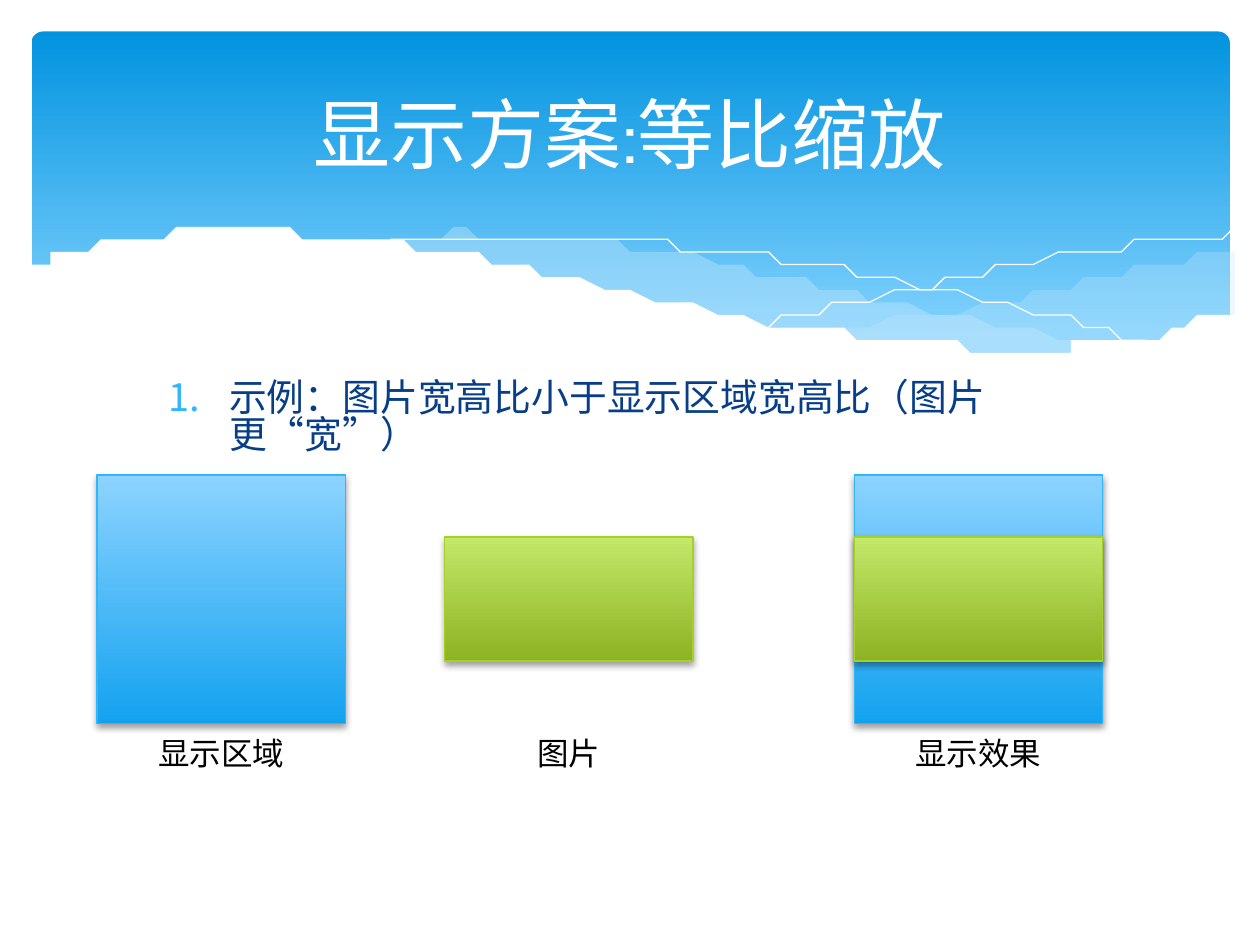
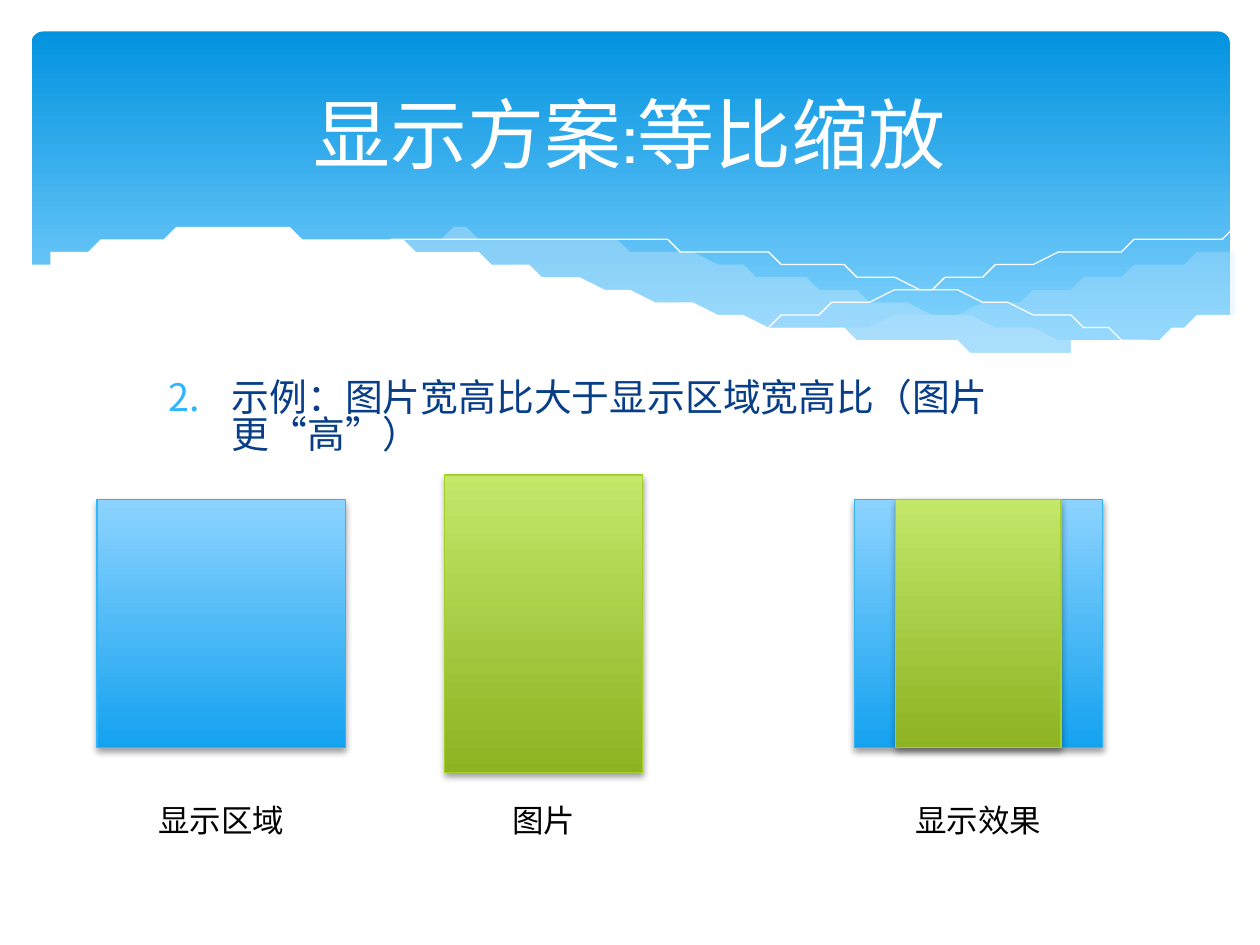
from dataclasses import dataclass
from lxml.etree import SubElement
from pptx import Presentation
from pptx.dml.color import RGBColor
from pptx.enum.shapes import MSO_SHAPE as Preset
from pptx.enum.text import MSO_ANCHOR as Anchor, PP_ALIGN as Align
from pptx.oxml.ns import qn
from pptx.util import Inches, Pt


@dataclass(frozen=True)
class Theme:
    font: str = "Cabin"
    title_size: float = 44
    body_size: float = 21.6
    label_size: float = 18
    white: str = "FFFFFF"
    black: str = "000000"
    navy: str = "073E87"
    sky: str = "31B6FD"
    lime: str = "A5D028"
    mist: str = "C6E7FC"
    band: tuple = ("0293E0", "83D3FE")
    blue_fade: tuple = ("8CD3FF", "14A2EF")
    green_fade: tuple = ("C3E86A", "8DB222")


theme = Theme()
rgb = RGBColor.from_string
presentation = Presentation()
presentation.slide_width, presentation.slide_height = Inches(10), Inches(7.5)
cell = presentation.slide_width // 100


def smooth(knots, steps=6):
    padded = [knots[0], *knots, knots[-1]]
    points = [knots[0]]
    for a, b, c, d in zip(padded, padded[1:], padded[2:], padded[3:]):
        for step in range(1, steps + 1):
            t = step / steps
            points.append(tuple(
                q + t * ((r - p) + t * ((2 * p - 5 * q + 4 * r - s) + t * (3 * q - p - 3 * r + s))) / 2
                for p, q, r, s in zip(a, b, c, d)))
    return points


def add_block(slide, preset, box, fade, last_stop=1, outline=None):
    shape = slide.shapes.add_shape(preset, *[round(length * cell) for length in box])
    shape.shadow.inherit = False
    shape.fill.gradient()
    shape.fill.gradient_angle = 270
    for stop, color, position in zip(shape.fill.gradient_stops, fade, (0, last_stop)):
        stop.color.rgb = rgb(color)
        stop.position = position
    if outline is None:
        shape.line.fill.background()
        return shape
    shape.line.color.rgb = rgb(outline)
    shape.line.width = Pt(0.75)
    effects = shape._element.spPr.find(qn("a:effectLst"))
    shadow = SubElement(effects, qn("a:outerShdw"), blurRad=str(Pt(4)), dist=str(Pt(2)),
                        dir="5400000", rotWithShape="0")
    shadow_color = SubElement(shadow, qn("a:srgbClr"), val=theme.black)
    SubElement(shadow_color, qn("a:alpha"), val="38000")
    return shape


right_swell = smooth([(97.5, 20), (92.1, 21), (86.1, 22.3), (77.9, 24.2), (66.1, 26.5)])
right_swell += smooth([(66.1, 26.5), (71.9, 27.1), (76.9, 27.7), (81.4, 27.8), (85.4, 27.6),
                       (89.7, 27), (93.5, 26.2), (97.6, 24.7)])
middle_swell = smooth([(89.3, 27.3), (80.7, 26), (70.6, 24), (62.9, 22.2), (55.5, 20.5),
                       (48.9, 19.4), (42, 18.7), (36.1, 18.5), (31.3, 18.8), (28.6, 19.1)])
middle_swell += smooth([(28.6, 19.1), (36.2, 20.3), (44.9, 22.2), (53, 24), (61.8, 25.8),
                        (69.5, 27), (76.1, 27.7), (81.8, 27.8), (85.7, 27.7), (89.3, 27.3)])
falling_line = smooth([(30.9, 19.5), (35.3, 18.9), (41.6, 18.7), (48.9, 19), (55.6, 19.7),
                       (63.6, 20.8), (72.7, 22.6), (83.1, 25.1), (90.7, 27.2)])
rising_line = smooth([(61.3, 25.7), (69.5, 23.5), (77.6, 21.6), (86.6, 19.9), (92.4, 19), (97.5, 18.5)])
white_wave = smooth([(97.7, 24.6), (92, 26.5), (86.3, 27.4), (80.9, 27.7), (74.4, 27.4),
                     (66.8, 26.5), (57.9, 25), (50.3, 23.3), (41.8, 21.3), (34, 19.7),
                     (27.1, 18.8), (21.1, 18.4), (16.1, 18.4), (11.9, 18.7), (7.6, 19.5),
                     (4.6, 20.3), (2.3, 21.3)]) + [(2.3, 32.9), (97.7, 32.9)]
waves = [
    (right_swell, theme.mist, 29),
    (middle_swell, theme.mist, 40),
    (falling_line, None, 100),
    (rising_line, None, 100),
    (white_wave, theme.white, 100),
]

area_size = 19.7
area_column, picture_column, effect_column = 7.7, 35.3, 67.8
examples = [
    dict(text="示例：图片宽高比小于显示区域宽高比（图片更“宽”）", number=1, indent=7.7, hanging=4.8,
         center_row=47.55, picture=(19.7, 9.85), label_row=57.8),
    dict(text="示例：图片宽高比大于显示区域宽高比（图片更“高”）", number=2, indent=7.9, hanging=5,
         center_row=49.5, picture=(15.7, 23.6), label_row=63.1),
]

for example in examples:
    slide = presentation.slides.add_slide(presentation.slide_layouts[6])

    band = add_block(slide, Preset.ROUNDED_RECTANGLE, (2.5, 2.5, 95.1, 27), theme.band, 0.9)
    band.adjustments[0] = 0.034
    for points, color, opacity in waves:
        builder = slide.shapes.build_freeform(*points[0], scale=cell)
        builder.add_line_segments(points[1:], close=color is not None)
        wave = builder.convert_to_shape()
        wave.shadow.inherit = False
        if color is None:
            wave.fill.background()
            wave.line.color.rgb = rgb(theme.white)
            wave.line.width = 0
            continue
        wave.line.fill.background()
        wave.fill.solid()
        wave.fill.fore_color.rgb = rgb(color)
        if opacity < 100:
            wave_color = wave._element.spPr.find(qn("a:solidFill"))[0]
            SubElement(wave_color, qn("a:alpha"), val=str(opacity * 1000))

    width, height = example["picture"]
    scale = min(area_size / width, area_size / height)
    fitted_width, fitted_height = width * scale, height * scale
    center = example["center_row"]
    area_row = center - area_size / 2
    fitted_column = effect_column + (area_size - fitted_width) / 2
    blue = (theme.blue_fade, 1, theme.sky)
    green = (theme.green_fade, 1, theme.lime)
    for box, look in [
        ((area_column, area_row, area_size, area_size), blue),
        ((picture_column, center - height / 2, width, height), green),
        ((effect_column, area_row, area_size, area_size), blue),
        ((fitted_column, center - fitted_height / 2, fitted_width, fitted_height), green),
    ]:
        add_block(slide, Preset.RECTANGLE, box, *look)

    label_row = example["label_row"]
    label_style = (theme.label_size, theme.black, Align.CENTER, Anchor.TOP)
    for text, box, (size, color, alignment, anchor) in [
        ("显示方案:等比缩放", (5, 3.7, 90, 13.7), (theme.title_size, theme.white, Align.CENTER, Anchor.MIDDLE)),
        (example["text"], (9.5, 29.3, 81, 5), (theme.body_size, theme.navy, Align.LEFT, Anchor.TOP)),
        ("显示区域", (area_column, label_row, area_size, 4), label_style),
        ("图片", (picture_column, label_row, width, 4), label_style),
        ("显示效果", (effect_column, label_row, area_size, 4), label_style),
    ]:
        frame = slide.shapes.add_textbox(*[round(length * cell) for length in box]).text_frame
        frame.word_wrap = True
        frame.vertical_anchor = anchor
        paragraph = frame.paragraphs[0]
        paragraph.text = text
        paragraph.alignment = alignment
        if text == example["text"]:
            frame.margin_top = cell
            properties = paragraph._p.get_or_add_pPr()
            properties.set("marL", str(round(example["indent"] * cell)))
            properties.set("indent", str(round(-example["hanging"] * cell)))
            bullet_color = SubElement(properties, qn("a:buClr"))
            SubElement(bullet_color, qn("a:srgbClr"), val=theme.sky)
            SubElement(properties, qn("a:buFont"), typeface=theme.font)
            SubElement(properties, qn("a:buAutoNum"), type="arabicPeriod", startAt=str(example["number"]))
            paragraph.line_spacing = 0.82
        font = paragraph.runs[0].font
        for name, value in dict(name=theme.font, size=Pt(size)).items():
            setattr(font, name, value)
        font.color.rgb = rgb(color)

presentation.save("out.pptx")
